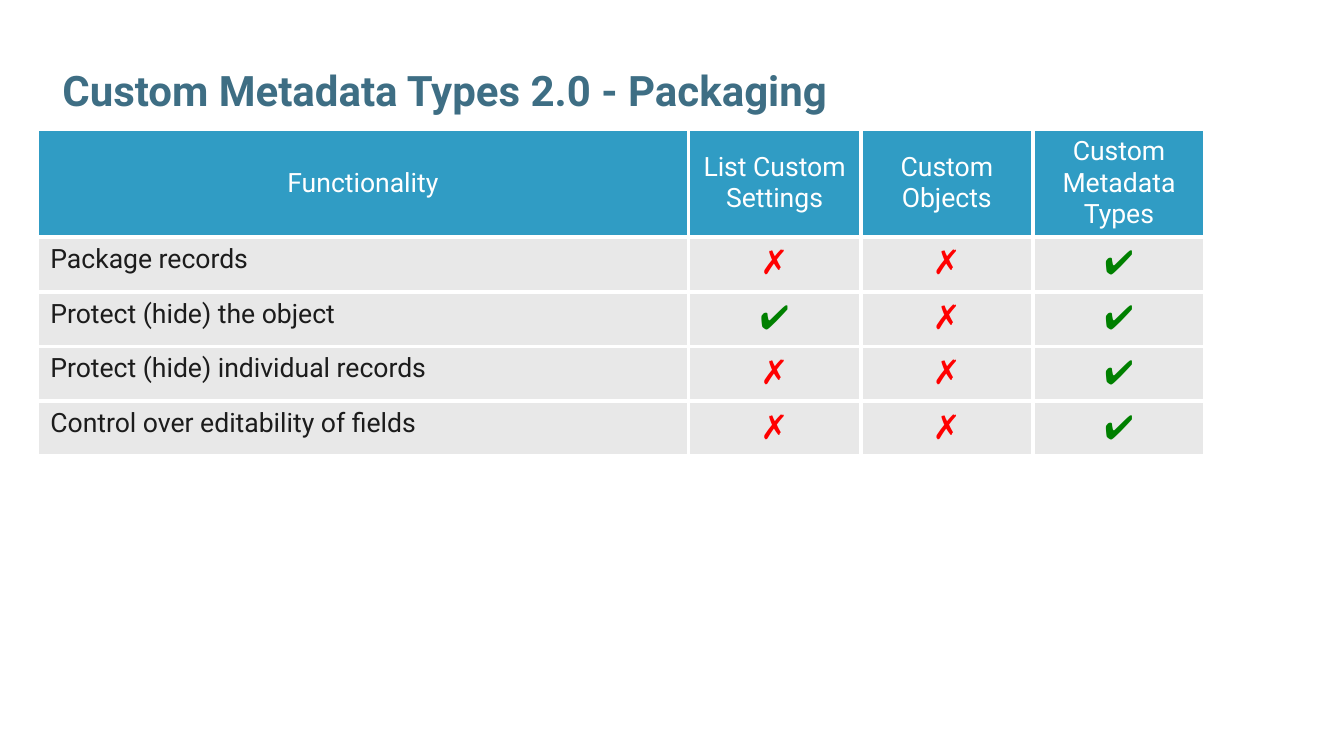
"""Build the packaging comparison slide for custom metadata types."""
from lxml import etree
from pptx import Presentation
from pptx.dml.color import RGBColor
from pptx.enum.text import MSO_ANCHOR, PP_ALIGN
from pptx.oxml.ns import qn
from pptx.util import Cm, Pt

TOP, MIDDLE, BOTTOM = MSO_ANCHOR.TOP, MSO_ANCHOR.MIDDLE, MSO_ANCHOR.BOTTOM
LEFT, CENTER = PP_ALIGN.LEFT, PP_ALIGN.CENTER

TITLE = "Custom Metadata Types 2.0 - Packaging"
HEADINGS = ("Functionality", "List Custom Settings", "Custom Objects", "Custom Metadata Types")
FEATURES = [
    ("Package records", "✗", "✗", "✔"),
    ("Protect (hide) the object", "✔", "✗", "✔"),
    ("Protect (hide) individual records", "✗", "✗", "✔"),
    ("Control over editability of fields", "✗", "✗", "✔"),
]

FONT = "Roboto"
TITLE_FORMAT = {"size": Pt(30), "bold": True, "color": "3E6E84"}
HEADING_FORMAT = {"size": Pt(19), "bold": False, "color": "FFFFFF"}
FEATURE_FORMAT = {"size": Pt(19), "bold": False, "color": "1C1C1C"}
MARK_FORMATS = {
    "✗": {"size": Pt(24), "bold": False, "color": "FF0000"},
    "✔": {"size": Pt(24), "bold": True, "color": "008000"},
}
HEADING_FILL, FEATURE_FILL, BORDER = "309CC4", "E8E8E8", "FFFFFF"
COLUMN_WIDTHS = [Cm(16.41)] + [Cm(4.34)] * 3
ROW_HEIGHTS = [Cm(2.72)] + [Cm(1.38)] * len(FEATURES)
CELL_MARGINS = {
    "margin_left": Cm(0.33), "margin_right": Cm(0.33),
    "margin_top": Cm(0.17), "margin_bottom": Cm(0.17),
}


def rgb(value):
    """Turn a hex string into a colour."""
    return RGBColor.from_string(value)


def set_attributes(target, values):
    """Set every named attribute on the target."""
    for name, value in values.items():
        setattr(target, name, value)


def write(frame, text, style, align):
    """Write one formatted paragraph into a text frame."""
    paragraph = frame.paragraphs[0]
    paragraph.alignment = align
    run = paragraph.add_run()
    run.text = text
    run.font.color.rgb = rgb(style["color"])
    set_attributes(run.font, {"name": FONT, "size": style["size"], "bold": style["bold"]})
    return paragraph


def add_borders(cell):
    """Draw a line on all four sides of a cell."""
    properties = cell._tc.get_or_add_tcPr()
    for side in ("lnL", "lnR", "lnT", "lnB"):
        line = etree.SubElement(properties, qn(f"a:{side}"), w=str(Pt(3)))
        fill = etree.SubElement(line, qn("a:solidFill"))
        etree.SubElement(fill, qn("a:srgbClr"), val=BORDER)


def format_cell(cell, text, style, fill, align, anchor):
    """Fill, border and write one table cell."""
    add_borders(cell)
    cell.fill.solid()
    cell.fill.fore_color.rgb = rgb(fill)
    set_attributes(cell, {**CELL_MARGINS, "vertical_anchor": anchor})
    write(cell.text_frame, text, style, align)


def add_title(slide):
    """Place and format the slide title."""
    title = slide.shapes.title
    set_attributes(title, {"left": Cm(1.57), "top": Cm(0.18), "width": Cm(30.68), "height": Cm(2.74)})
    frame = title.text_frame
    set_attributes(frame, {
        "margin_left": 0, "margin_right": 0, "margin_top": 0, "margin_bottom": 0,
        "vertical_anchor": BOTTOM, "word_wrap": True,
    })
    write(frame, TITLE, TITLE_FORMAT, LEFT).line_spacing = 0.95


def add_comparison(slide):
    """Add the table of features and marks."""
    comparison = slide.shapes.add_table(
        len(ROW_HEIGHTS), len(COLUMN_WIDTHS), Cm(0.94), Cm(3.25),
        sum(COLUMN_WIDTHS), sum(ROW_HEIGHTS)).table
    comparison.horz_banding = False
    for column, width in zip(comparison.columns, COLUMN_WIDTHS):
        column.width = width
    for row, height in zip(comparison.rows, ROW_HEIGHTS):
        row.height = height
    for column, heading in enumerate(HEADINGS):
        format_cell(comparison.cell(0, column), heading, HEADING_FORMAT, HEADING_FILL, CENTER, MIDDLE)
    for row, feature in enumerate(FEATURES, 1):
        for column, text in enumerate(feature):
            style = MARK_FORMATS.get(text, FEATURE_FORMAT)
            align = CENTER if column else LEFT
            format_cell(comparison.cell(row, column), text, style, FEATURE_FILL, align, TOP)


def main():
    """Create and save the presentation."""
    deck = Presentation()
    set_attributes(deck, {"slide_width": Cm(33.87), "slide_height": Cm(19.05)})
    slide = deck.slides.add_slide(deck.slide_layouts[5])
    add_title(slide)
    add_comparison(slide)
    deck.save("out.pptx")


if __name__ == "__main__":
    main()
